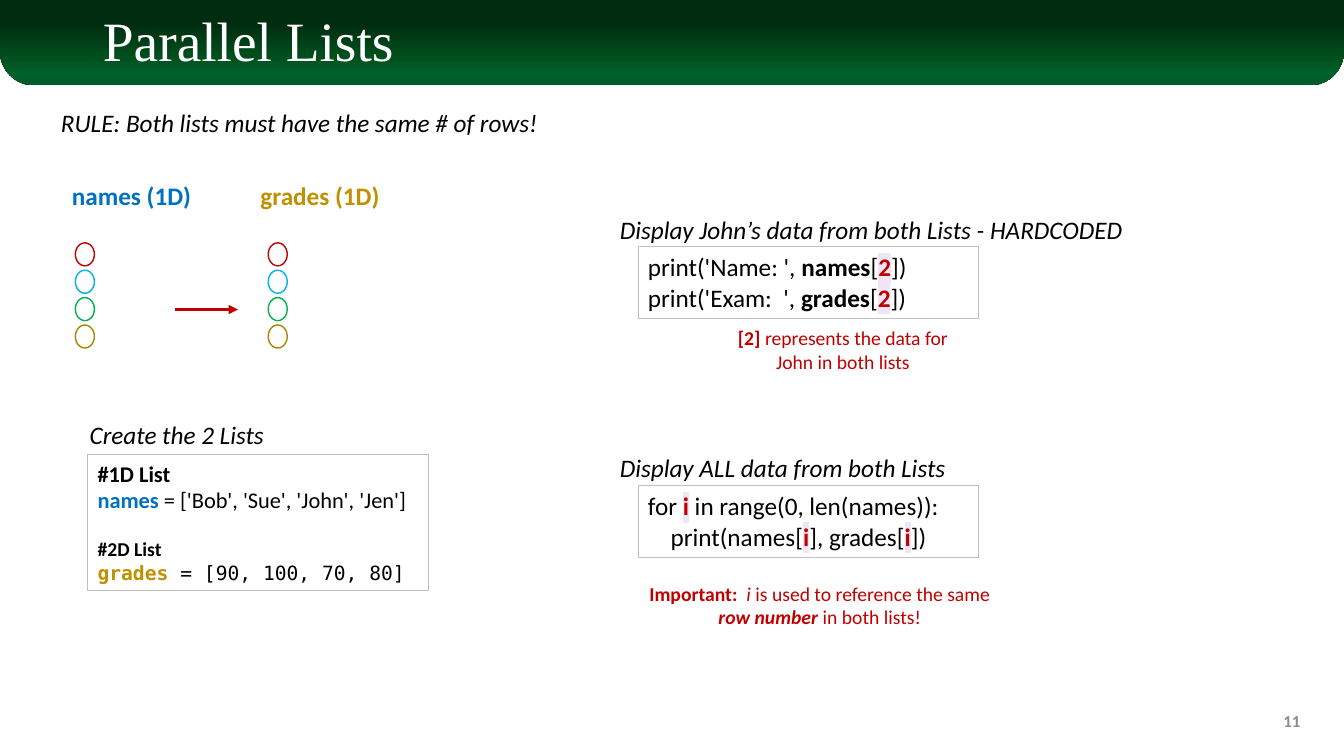
from dataclasses import dataclass

from lxml import etree
from pptx import Presentation
from pptx.dml.color import RGBColor
from pptx.enum.shapes import MSO_CONNECTOR, MSO_SHAPE
from pptx.enum.text import MSO_ANCHOR, PP_ALIGN
from pptx.oxml import parse_xml
from pptx.oxml.ns import nsdecls, qn
from pptx.util import Cm, Pt

LEFT, CENTER, RIGHT = PP_ALIGN.LEFT, PP_ALIGN.CENTER, PP_ALIGN.RIGHT
TOP, MIDDLE = MSO_ANCHOR.TOP, MSO_ANCHOR.MIDDLE


@dataclass(frozen=True)
class Theme:
    black: str = "000000"
    white: str = "FFFFFF"
    red: str = "C00000"
    blue: str = "0070C0"
    gold: str = "BF9000"
    grey: str = "8C8C8C"
    border: str = "BFBFBF"
    highlight: str = "EFE5F7"
    rows: tuple = ("C00000", "00B0F0", "00B050", "AC8300")
    band: tuple = ((28, "002D10"), (68, "00501D"), (85, "00602B"), (100, "005C2B"))
    body_font: str = "Calibri"
    code_font: str = "DejaVu Sans Mono"
    title_font: str = "Times New Roman"
    title: float = 39.6
    text: int = 18
    code: int = 16
    note: int = 14
    number: int = 12


theme = Theme()


def rgb(color):
    return RGBColor.from_string(color)


def add_text(place, paragraphs, size=theme.text, align=LEFT, fill=None, border=None, wrap=True):
    """Each paragraph lists runs (text, colour, flags): b bold, i italic, m mono, h highlight."""
    box = [Cm(length) for length in place]
    if fill or border:
        shape = slide.shapes.add_shape(MSO_SHAPE.RECTANGLE, *box)
        shape.shadow.inherit = False
        shape.fill.background()
        shape.line.fill.background()
        if fill:
            shape.fill.solid()
            shape.fill.fore_color.rgb = rgb(fill)
        if border:
            shape.line.color.rgb = rgb(border)
            shape.line.width = Pt(0.75)
    else:
        shape = slide.shapes.add_textbox(*box)
    frame = shape.text_frame
    frame.word_wrap = wrap
    frame.vertical_anchor = TOP
    for index, runs in enumerate(paragraphs):
        paragraph = frame.add_paragraph() if index else frame.paragraphs[0]
        paragraph.alignment = align
        for words, color, flags in runs:
            run = paragraph.add_run()
            run.text = words
            run.font.size = Pt(size)
            run.font.name = theme.code_font if "m" in flags else theme.body_font
            run.font.bold = "b" in flags
            run.font.italic = "i" in flags
            run.font.color.rgb = rgb(color)
            if "h" in flags:
                run.font._element.find(qn("a:solidFill")).addnext(parse_xml(
                    f'<a:highlight {nsdecls("a")}><a:srgbClr val="{theme.highlight}"/></a:highlight>'))
    return shape


prs = Presentation()
prs.slide_width, prs.slide_height = Cm(33.87), Cm(19.05)
slide = prs.slides.add_slide(prs.slide_layouts[5])

# Header band, behind the title
band = slide.shapes.add_shape(MSO_SHAPE.ROUND_2_SAME_RECTANGLE, 0, 0, prs.slide_width, Cm(2.15))
band.shadow.inherit = False
band.adjustments[0], band.adjustments[1] = 0, 0.4
band.line.fill.background()
stops = "".join(f'<a:gs pos="{position * 1000}"><a:srgbClr val="{color}"/></a:gs>'
                for position, color in theme.band)
band._element.spPr.find(qn("a:prstGeom")).addnext(parse_xml(
    f'<a:gradFill {nsdecls("a")} rotWithShape="1"><a:gsLst>{stops}</a:gsLst>'
    '<a:lin ang="5400000" scaled="0"/></a:gradFill>'))
slide.shapes._spTree.insert(2, band._element)

title = slide.shapes.title
title.left, title.top, title.width, title.height = Cm(2.34), Cm(0.33), Cm(29.21), Cm(1.55)
title.text_frame.text = "Parallel Lists"
title.text_frame.vertical_anchor = MIDDLE
heading = title.text_frame.paragraphs[0]
heading.alignment = LEFT
heading.line_spacing = 0.9
heading_font = heading.runs[0].font
heading_font.name = theme.title_font
heading_font.size = Pt(theme.title)
heading_font.color.rgb = rgb(theme.white)

page_number = add_text((25.4, 17.65, 7.62, 1.02), [[("11", theme.grey, "b")]], theme.number, RIGHT)
page_number.text_frame.vertical_anchor = MIDDLE

# Rule and the two parallel lists
add_text((0.74, 2.57, 13.61, 1.02),
         [[("RULE: Both lists must have the same # of rows!", theme.black, "i")]],
         align=CENTER, fill=theme.white)

for left, width, label, color, column in ((1.5, 3.63, "names (1D)", theme.blue, 1.9),
                                          (6.3, 3.53, "grades (1D)", theme.gold, 6.76)):
    add_text((left, 4.42, width, 1.02), [[(label, color, "b")]], align=CENTER, wrap=False)
    for row, row_color in enumerate(theme.rows):
        marker = slide.shapes.add_shape(MSO_SHAPE.OVAL, Cm(column), Cm(6.12 + 0.69 * row),
                                        Cm(0.48), Cm(0.58))
        marker.shadow.inherit = False
        marker.fill.background()
        marker.line.color.rgb = rgb(row_color)
        marker.line.width = Pt(1)

arrow = slide.shapes.add_connector(MSO_CONNECTOR.STRAIGHT, Cm(4.4), Cm(7.8), Cm(6), Cm(7.8))
arrow.line.color.rgb = rgb(theme.red)
arrow.line.width = Pt(2.25)
etree.SubElement(arrow.line._get_or_add_ln(), qn("a:tailEnd"), type="triangle")
etree.SubElement(arrow._element.spPr, qn("a:effectLst"))

# Captions above the code boxes
for place, caption, wrap in (
        ((2.01, 10.44, 6.17, 1.02), "Create the 2 Lists", True),
        ((15.37, 5.28, 13.34, 1.02), "Display John’s data from both Lists - HARDCODED", False),
        ((15.37, 11.28, 8.81, 1.02), "Display ALL data from both Lists", False)):
    add_text(place, [[(caption, theme.black, "i")]], wrap=wrap)

# Code boxes
create_code = add_text((2.21, 11.46, 8.59, 3.43), [
    [("#1D List", theme.black, "b")],
    [("names", theme.blue, "b"), (" = ['Bob', 'Sue', 'John', 'Jen']", theme.black, "")],
    [("#2D List", theme.black, "b")],
    [("grades", theme.gold, "bm"), (" = [90, 100, 70, 80]", theme.black, "m")],
], theme.code, border=theme.border)
grades_code = create_code.text_frame.paragraphs[2:]
grades_code[0].space_before = Pt(17)
for line in grades_code:
    for run in line.runs:
        run.font.size = Pt(theme.note)

john_code = [[(f"print('{label}', ", theme.black, ""), (name, theme.black, "b"),
              ("[", theme.black, ""), ("2", theme.red, "bh"), ("])", theme.black, "")]
             for label, name in (("Name: ", "names"), ("Exam:  ", "grades"))]
index_i = ("i", theme.red, "bh")
loop_code = [
    [("for ", theme.black, ""), index_i, (" in range(0, len(names)):", theme.black, "")],
    [("    print(names[", theme.black, ""), index_i, ("], grades[", theme.black, ""), index_i,
     ("])", theme.black, "")],
]
for top, code in ((6.22, john_code), (12.24, loop_code)):
    add_text((16.08, top, 8.59, 1.8), code, border=theme.border)

# Notes below the code boxes
add_text((15.95, 14.53, 9.42, 1.45), [[
    ("Important:  ", theme.red, "b"), ("i", theme.red, "i"),
    (" is used to reference the same ", theme.red, ""),
    ("row number ", theme.red, "bi"), ("in both lists!", theme.red, "")]],
    theme.note, CENTER, fill=theme.white)
add_text((17.93, 8.1, 6.63, 1.45), [[
    ("[2] ", theme.red, "b"), ("represents the data for John in both lists", theme.red, "")]],
    theme.note, CENTER, fill=theme.white)

prs.save("out.pptx")
